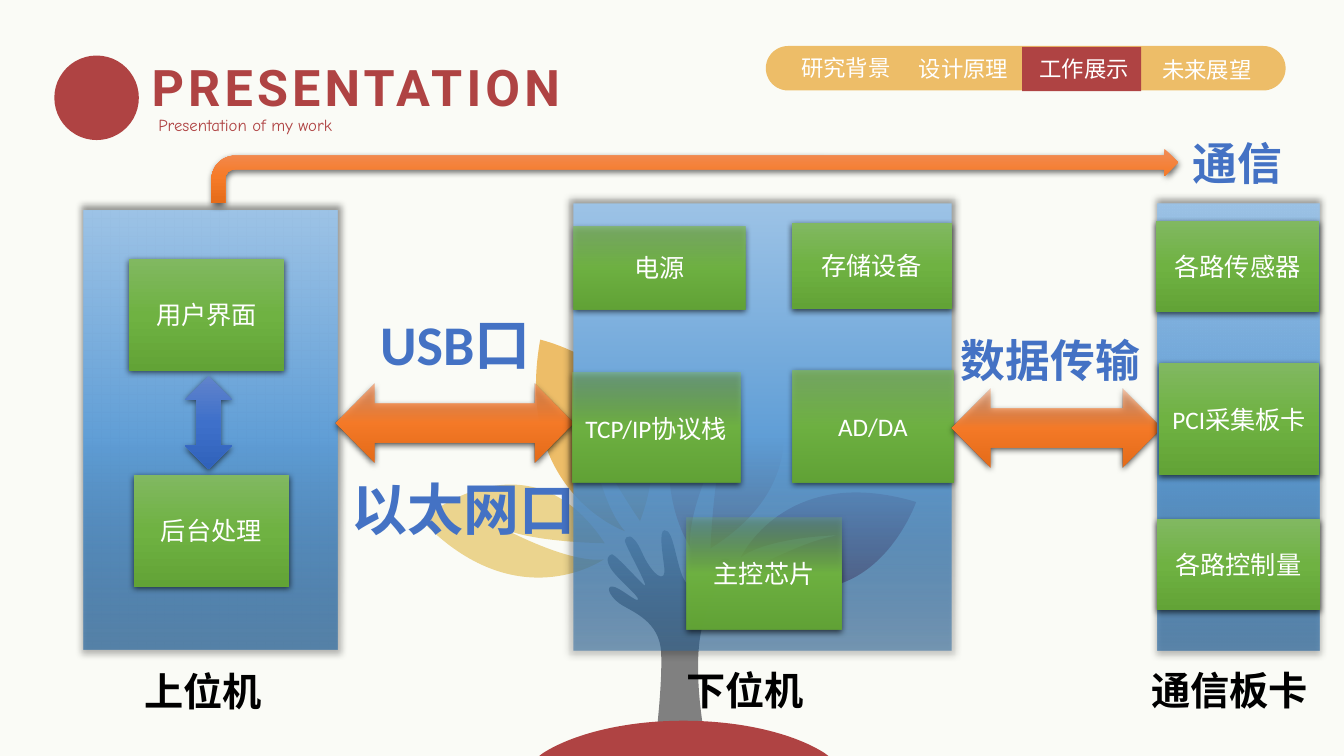
"""Build the slide on the links between host, slave machine and board."""
from dataclasses import dataclass

from lxml.etree import SubElement
from pptx import Presentation
from pptx.dml.color import RGBColor
from pptx.enum.shapes import MSO_SHAPE
from pptx.enum.text import MSO_ANCHOR, MSO_AUTO_SIZE, PP_ALIGN
from pptx.oxml import parse_xml
from pptx.oxml.ns import nsdecls, qn
from pptx.util import Cm, Pt

HAN = "Noto Sans CJK SC"
RED, GOLD, WHITE, BLUE = "AF4343", "EDBD68", "FFFFFF", "4472C4"
PANEL = ((0, "2A69A2"), (48, "609ED6"), (100, "9DC3E6"))
GREEN = ((0, "81B861"), (50, "6FB242"), (100, "62A336"))
ORANGE = ((0, "F18C57"), (50, "F67B28"), (100, "E56C19"))
AZURE = ((0, "6183CB"), (50, "3E70CA"), (100, "3062BB"))
GLOW, DROP = (40, 5, 0, 102), (63, 4.5, 1.5, 100)
NODE = {"name": "Calibri", "size": Pt(18)}
TAB = {"name": HAN, "size": Pt(16)}
BIG = {"name": "Calibri", "size": Pt(40), "bold": True}
MID = {**BIG, "size": Pt(32)}
FOOT = {"name": HAN, "size": Pt(28), "bold": True}
HEAD = {"name": "Roboto", "size": Pt(36), "bold": True}
SUB = {"name": "Comic Neue", "size": Pt(12)}


@dataclass
class Curve:
    """Outline in hundredths of an inch: a start, then lines (2) or curves (6)."""
    fill: str
    start: tuple
    steps: tuple


@dataclass
class Block:
    """Shape with a gradient, in centimetres."""
    box: tuple
    text: str = ""
    clear: int = 100
    stops: tuple = GREEN
    shade: tuple = DROP
    kind: MSO_SHAPE = MSO_SHAPE.FLOWCHART_PROCESS
    angle: int = 90


@dataclass
class Label:
    """Text box, in centimetres."""
    box: tuple
    text: str
    form: dict
    tint: str
    mid: bool = False
    edge: bool = False
    wrap: bool = True
    space: int = 0
    after: int = 0


TREE = (
    Curve("808080", (659, 526), (
        (660, 526, 661, 526, 662, 527), (670, 531, 673, 578, 684, 580),
        (695, 583, 708, 568, 711, 561), (714, 554, 723, 551, 725, 558),
        (727, 566, 708, 576, 696, 625), (690, 652, 693, 690, 697, 717),
        (698, 723), (652, 723), (652, 722), (654, 703, 657, 669, 656, 648),
        (655, 616, 627, 607, 615, 599), (604, 591, 601, 581, 608, 582),
        (614, 582, 632, 598, 633, 595), (635, 592, 613, 575, 606, 564),
        (600, 554, 604, 551, 607, 550), (610, 549, 639, 582, 640, 581),
        (642, 579, 619, 539, 620, 536), (621, 532, 627, 526, 637, 548),
        (647, 571, 662, 581, 659, 562), (657, 546, 654, 528, 659, 526))),
    Curve("DD7A5B", (685, 543), (
        (685, 543, 613, 436, 736, 320), (736, 320, 849, 454, 705, 544),
        (705, 544, 708, 458, 724, 423), (724, 423, 681, 499, 685, 543))),
    Curve("EBD48E", (599, 555), (
        (599, 555, 513, 615, 418, 516), (418, 516, 524, 423, 600, 539),
        (600, 539, 530, 538, 501, 525), (501, 525, 564, 559, 599, 555))),
    Curve(GOLD, (620, 527), (
        (620, 527, 509, 488, 536, 337), (536, 337, 690, 372, 635, 517),
        (635, 517, 591, 453, 583, 419), (583, 419, 593, 497, 620, 527))),
    Curve(RED, (678, 715), (
        (737, 715, 788, 728, 818, 747), (822, 750), (535, 750), (539, 747),
        (569, 728, 620, 715, 678, 715))),
    Curve(RED, (735, 553), (
        (735, 553, 779, 459, 909, 498), (909, 498, 863, 630, 741, 567),
        (741, 567, 802, 534, 833, 531), (833, 531, 763, 532, 735, 553))),
)
PLAIN = (
    (MSO_SHAPE.OVAL, (1.37, 1.4, 2.13, 2.13), RED),
    (MSO_SHAPE.ROUNDED_RECTANGLE, (19.3, 1.16, 13.1, 1.12), GOLD),
    (MSO_SHAPE.RECTANGLE, (25.76, 1.18, 3, 1.12), RED),
)
TABS = ((19.94, 1.24, "研究背景"), (22.91, 1.27, "设计原理"),
        (25.95, 1.27, "工作展示"), (29.04, 1.29, "未来展望"))
PARTS = (
    Label((3.57, 1.3, 11.91, 1.8), "PRESENTATION", HEAD, RED, space=300),
    *(Label((x, y, 3.33, 0.94), text, TAB, WHITE) for x, y, text in TABS),
    Label((3.74, 2.77, 10.59, 0.76), "Presentation of my work", SUB, RED, after=18),
    Block((2.11, 5.3, 6.4, 11.07), "", 68, PANEL, GLOW, angle=270),
    Block((3.25, 6.52, 3.91, 2.82), "用户界面"),
    Block((3.37, 11.96, 3.91, 2.82), "后台处理"),
    Block((4.66, 9.48, 1.19, 2.34), stops=AZURE, kind=MSO_SHAPE.UP_DOWN_ARROW),
    Block((8.46, 9.68, 5.99, 1.98), "", 64, ORANGE, kind=MSO_SHAPE.LEFT_RIGHT_ARROW),
    Label((8.26, 7.67, 6.43, 1.96), "USB口", BIG, BLUE, True, True),
    Label((8.46, 11.84, 6.43, 1.96), "以太网口", BIG, BLUE, True, True),
    Block((14.45, 5.13, 9.52, 11.25), "", 52, PANEL, GLOW, angle=270),
    Block((14.46, 5.71, 4.33, 2.08), "电源", 79),
    Block((19.95, 5.62, 4.04, 2.16), "存储设备"),
    Block((14.42, 9.4, 4.24, 2.77), "TCP/IP协议栈", 50),
    Block((19.98, 9.33, 4.04, 2.82), "AD/DA", 82),
    Block((17.3, 13.05, 3.91, 2.82), "主控芯片", 25),
    Block((23.98, 9.79, 5.28, 1.98), "", 44, ORANGE, kind=MSO_SHAPE.LEFT_RIGHT_ARROW),
    Label((23.26, 8.26, 6.43, 1.63), "数据传输", MID, BLUE, True, True),
    Block((29.18, 5.13, 4.06, 11.25), "", 66, PANEL, GLOW, angle=270),
    Block((29.21, 9.15, 4.04, 2.82), "PCI采集板卡"),
    Block((5.33, 3.75, 24.36, 1.37), stops=ORANGE, kind=MSO_SHAPE.BENT_ARROW),
    Label((27.97, 3.3, 6.43, 1.63), "通信", MID, BLUE, True, True),
    Block((29.13, 5.57, 4.11, 2.29), "各路传感器"),
    Block((29.15, 13.09, 4.11, 2.29), "各路控制量"),
    Label((3.35, 16.7, 3.53, 1.45), "上位机", FOOT, "000000", True, True, False),
    Label((17.02, 16.66, 3.53, 1.45), "下位机", FOOT, "000000", True, True, False),
    Label((28.73, 16.66, 4.52, 1.45), "通信板卡", FOOT, "000000", True, True, False),
)


def paint(fill, tint: str) -> None:
    """Give a fill one solid colour."""
    fill.solid()
    fill.fore_color.rgb = RGBColor.from_string(tint)


def strip(shape) -> None:
    """Take line and shadow off a shape."""
    shape.line.fill.background()
    shape.shadow.inherit = False


def write(frame, text: str, form: dict, tint: str, mid: bool):
    """Write one run and return it."""
    para = frame.paragraphs[0]
    para.alignment = PP_ALIGN.CENTER if mid else PP_ALIGN.LEFT
    run = para.add_run()
    run.text = text
    for key, value in form.items():
        setattr(run.font, key, value)
    paint(run.font.fill, tint)
    SubElement(run._r.get_or_add_rPr(), qn("a:ea"), typeface=HAN)
    return run


def draw_curve(shapes, curve: Curve) -> None:
    """Draw a closed outline, turning each three lines of a curve into one Bézier."""
    points = [step[i:i + 2] for step in curve.steps for i in range(0, len(step), 2)]
    pen = shapes.build_freeform(*curve.start, scale=Cm(2.54) / 100)
    pen.add_line_segments(points, close=True)
    shape = pen.convert_to_shape()
    paint(shape.fill, curve.fill)
    strip(shape)
    lines = iter(list(shape.element.iter(qn("a:lnTo"))))
    for step in curve.steps:
        first = next(lines)
        if len(step) == 6:
            first.tag = qn("a:cubicBezTo")
            for _ in range(2):
                extra = next(lines)
                first.append(extra[0])
                extra.getparent().remove(extra)


def draw_block(shapes, block: Block) -> None:
    """Draw a gradient shape with its shadow and text."""
    shape = shapes.add_shape(block.kind, *map(Cm, block.box))
    shape.fill.background()
    strip(shape)
    props = shape.element.spPr
    stops = "".join(
        f'<a:gs pos="{pos * 1000}"><a:srgbClr val="{tint}">'
        f'<a:alpha val="{(100 if pos else block.clear) * 1000}"/></a:srgbClr></a:gs>'
        for pos, tint in block.stops)
    props.replace(props.find(qn("a:noFill")), parse_xml(
        f'<a:gradFill {nsdecls("a")} rotWithShape="1"><a:gsLst>{stops}</a:gsLst>'
        f'<a:lin ang="{block.angle * 60000}" scaled="0"/></a:gradFill>'))
    dark, blur, drop, size = block.shade
    props.find(qn("a:effectLst")).append(parse_xml(
        f'<a:outerShdw {nsdecls("a")} blurRad="{Pt(blur)}" dist="{Pt(drop)}" '
        f'dir="{5400000 if drop else 0}" sx="{size * 1000}" sy="{size * 1000}" '
        f'algn="ctr" rotWithShape="0"><a:srgbClr val="000000">'
        f'<a:alpha val="{dark * 1000}"/></a:srgbClr></a:outerShdw>'))
    if block.text:
        shape.text_frame.vertical_anchor = MSO_ANCHOR.MIDDLE
        write(shape.text_frame, block.text, NODE, WHITE, True)


def draw_label(shapes, label: Label) -> None:
    """Draw a text box."""
    frame = shapes.add_textbox(*map(Cm, label.box)).text_frame
    frame.word_wrap = label.wrap
    frame.auto_size = MSO_AUTO_SIZE.SHAPE_TO_FIT_TEXT
    run = write(frame, label.text, label.form, label.tint, label.mid)
    props = run._r.get_or_add_rPr()
    if label.space:
        props.set("spc", str(label.space))
    if label.after:
        frame.paragraphs[0].space_after = Pt(label.after)
    if label.edge:
        props.insert(0, parse_xml(
            f'<a:ln {nsdecls("a")} w="{Pt(0.75)}"><a:solidFill>'
            f'<a:srgbClr val="{WHITE}"/></a:solidFill></a:ln>'))


def main() -> None:
    """Build and save the deck."""
    deck = Presentation()
    deck.slide_width, deck.slide_height = Cm(33.87), Cm(19.05)
    slide = deck.slides.add_slide(deck.slide_layouts[6])
    paint(slide.background.fill, "FAFBF6")
    shapes = slide.shapes
    for curve in TREE:
        draw_curve(shapes, curve)
    for kind, box, tint in PLAIN:
        shape = shapes.add_shape(kind, *map(Cm, box))
        if kind == MSO_SHAPE.ROUNDED_RECTANGLE:
            shape.adjustments[0] = 0.5
        paint(shape.fill, tint)
        strip(shape)
    for part in PARTS:
        if isinstance(part, Block):
            draw_block(shapes, part)
        else:
            draw_label(shapes, part)
    deck.save("out.pptx")


if __name__ == "__main__":
    main()
